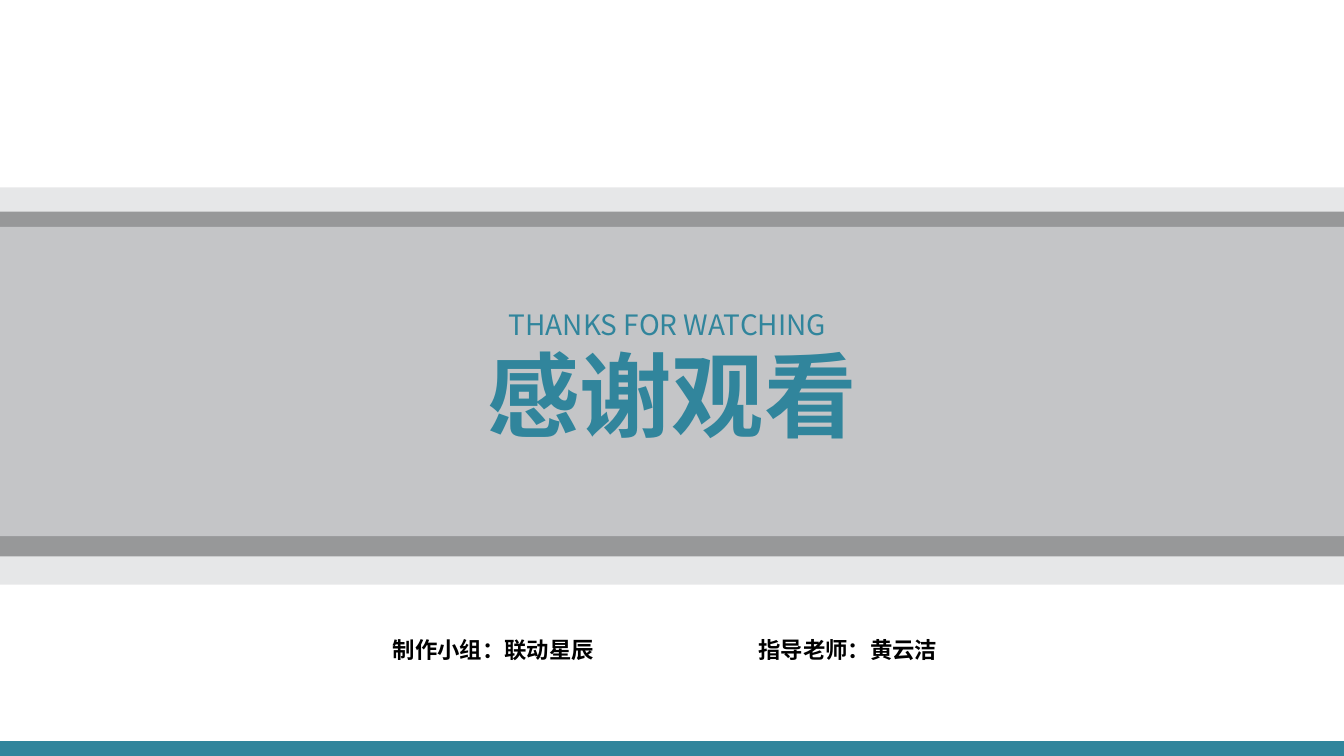
import pptx
import pptx.util
import pptx.dml.color
import pptx.enum.shapes
import pptx.enum.text
import lxml.etree

WIDE, HIGH = 13.34, 7.5
FACE = "Noto Sans CJK SC"
TEAL = "31859C"
ALIGN = pptx.enum.text.PP_ALIGN
NS = "http://schemas.openxmlformats.org/drawingml/2006/main"


def tint(code):
    """Return the colour of a hex string."""
    return pptx.dml.color.RGBColor.from_string(code)


def place(shape, box):
    """Move a shape to a box given in inches."""
    for key, size in zip(("left", "top", "width", "height"), box):
        setattr(shape, key, pptx.util.Inches(size))


def write(shape, box, text, look, align=ALIGN.CENTER, inset=0):
    """Fill a text holder with one formatted line."""
    place(shape, box)
    frame = shape.text_frame
    frame.text = text
    rules = {
        "word_wrap": True,
        "auto_size": pptx.enum.text.MSO_AUTO_SIZE.NONE,
        "vertical_anchor": pptx.enum.text.MSO_ANCHOR.MIDDLE,
        "margin_left": pptx.util.Inches(inset),
        "margin_top": 0, "margin_right": 0, "margin_bottom": 0,
    }
    for key, value in rules.items():
        setattr(frame, key, value)
    line = frame.paragraphs[0]
    line.alignment = align
    line.space_before = pptx.util.Pt(0)
    font = line.runs[0].font
    size, code, bold = look
    style = {"name": FACE, "size": pptx.util.Pt(size), "bold": bold}
    for key, value in style.items():
        setattr(font, key, value)
    font.color.rgb = tint(code)
    props = line.runs[0]._r.get_or_add_rPr()
    lxml.etree.SubElement(props, f"{{{NS}}}ea", typeface=FACE)


def band(slide, box, code, alpha=None, edge=None):
    """Draw a plain bar, see-through by a percentage if asked."""
    bar = slide.shapes.add_shape(
        pptx.enum.shapes.MSO_SHAPE.RECTANGLE, 0, 0, 0, 0)
    place(bar, box)
    bar.shadow.inherit = False
    bar.fill.solid()
    bar.fill.fore_color.rgb = tint(code)
    if alpha:
        shade = bar.fill._xPr.find(f".//{{{NS}}}srgbClr")
        lxml.etree.SubElement(shade, f"{{{NS}}}alpha", val=str(alpha * 1000))
    if edge:
        bar.line.color.rgb = tint(code)
        bar.line.width = pptx.util.Pt(edge)
    else:
        bar.line.fill.background()
    return bar


def banner(slide, box):
    """Stack the grey bars and set both headings over them."""
    left, top, wide, high = box
    layers = ((0.24, 3.42, "A6A6A6", None),
              (0.39, 3.07, "D9D9D9", None),
              (0, high, "202A36", 11))
    tree = slide.shapes._spTree
    for spot, (drop, tall, code, alpha) in enumerate(layers, 2):
        bar = band(slide, (left, top + drop, wide, tall), code, alpha)
        tree.insert(spot, bar._element)
    title, sub = slide.placeholders
    write(title, (left + 3.68, top + 1.49, 5.98, 1.11),
          "感谢观看", (66, TEAL, True))
    write(sub, (left + 3.83, top + 1.19, 5.59, 0.34),
          "THANKS FOR WATCHING", (20, TEAL, False))


def credits(slide, box):
    """Set the team and the teacher side by side."""
    left, top, wide, high = box
    names = ((0, 2.15, "制作小组：联动星辰"), (3.63, 1.98, "指导老师：黄云洁"))
    for shift, span, text in names:
        label = slide.shapes.add_textbox(0, 0, 0, 0)
        write(label, (left + shift, top, span, high), text,
              (16, "000000", True), ALIGN.LEFT, 0.07)


def main():
    """Build and save the closing slide."""
    deck = pptx.Presentation()
    deck.slide_width = pptx.util.Inches(WIDE)
    deck.slide_height = pptx.util.Inches(HIGH)
    slide = deck.slides.add_slide(deck.slide_layouts[0])
    banner(slide, (0, 1.86, WIDE, 3.94))
    band(slide, (0, HIGH - 0.13, WIDE, 0.13), TEAL, edge=2)
    credits(slide, (3.83, 6.27, 5.61, 0.34))
    deck.save("out.pptx")


if __name__ == "__main__":
    main()
